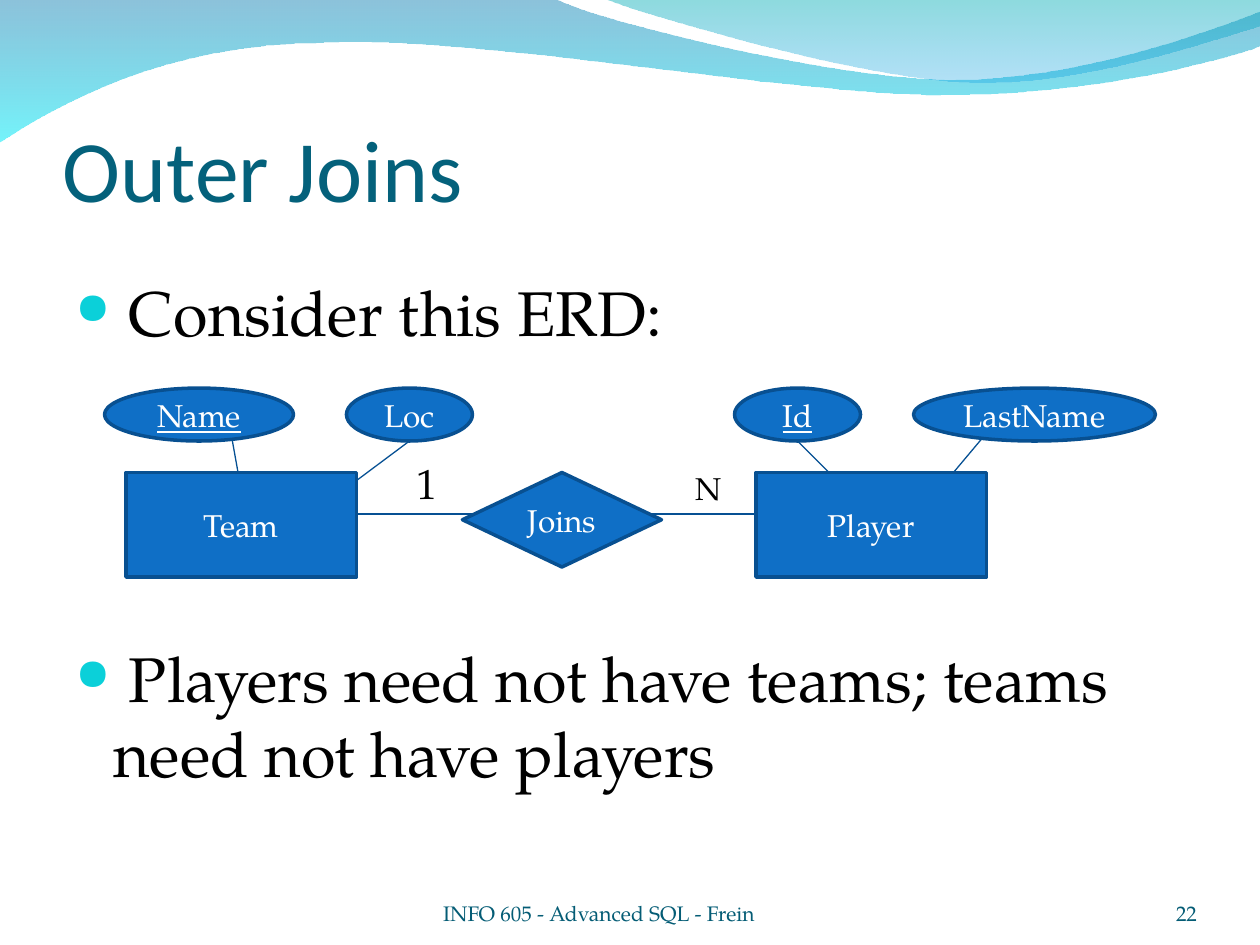
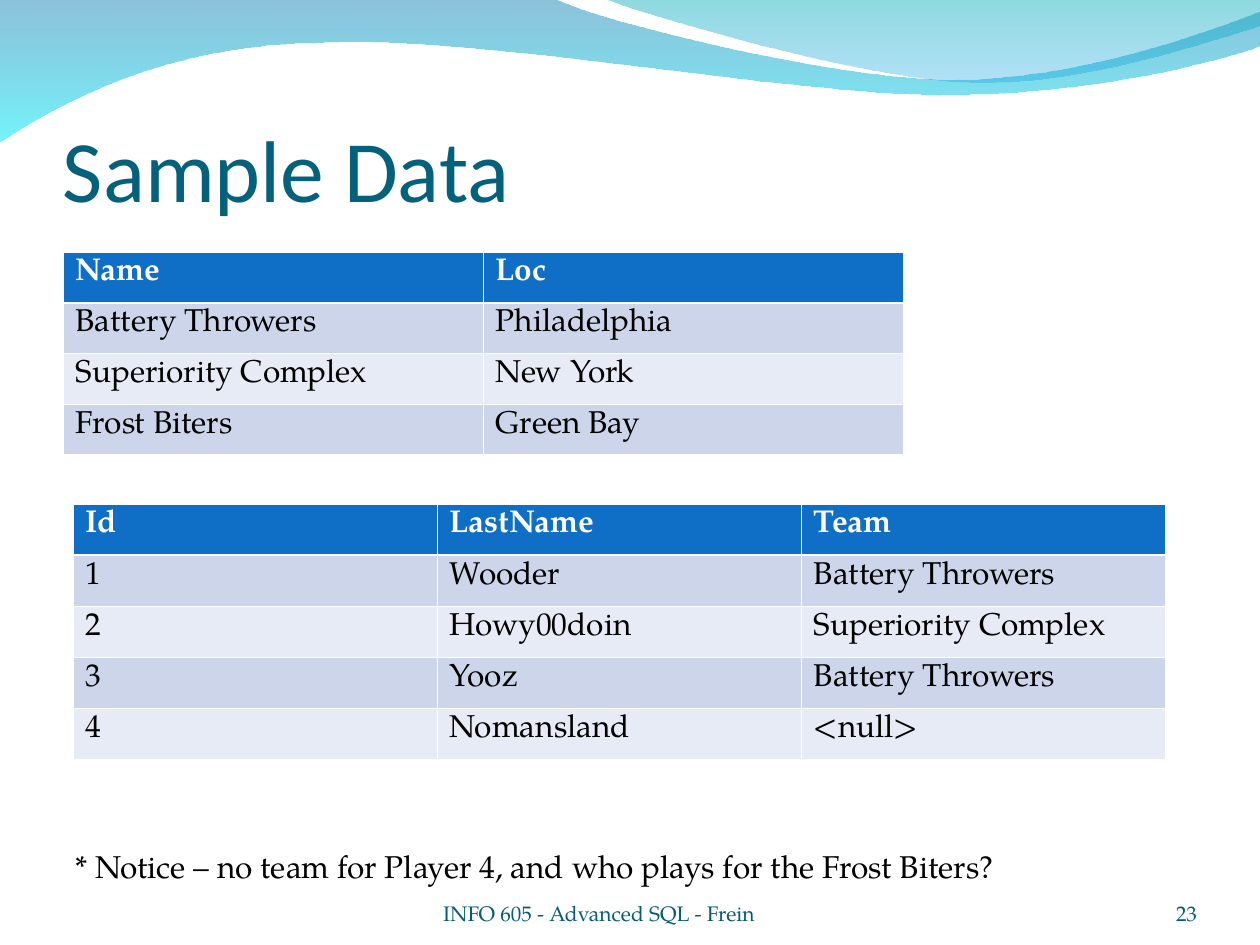
from pptx import Presentation
from pptx.dml.color import RGBColor as RGB
from pptx.enum.shapes import MSO_CONNECTOR as LINK, MSO_SHAPE as KIND
from pptx.enum.text import MSO_ANCHOR as ANCHOR, PP_ALIGN as ALIGN
from pptx.oxml.ns import qn
from pptx.oxml.xmlchemy import OxmlElement as Node
from pptx.util import Inches, Pt

BLACK = RGB(0x00, 0x00, 0x00)
WHITE = RGB(0xFF, 0xFF, 0xFF)
TITLE = RGB(0x04, 0x61, 0x7B)
FOOT = RGB(0x04, 0x5C, 0x75)
BLUE = RGB(0x0F, 0x6F, 0xC6)
EDGE = RGB(0x08, 0x50, 0x91)
LINE = RGB(0x06, 0x50, 0x93)
DOT = RGB(0x0B, 0xD0, 0xD9)
BANDS = [RGB(0xE7, 0xEB, 0xF5), RGB(0xCC, 0xD5, 0xEA)]
SERIF = "TeX Gyre Pagella"
SANS = "Calibri"

# Each wave: start, then corners (1 point) or Bezier curves (3 points),
# then gradient stops as (colour, opacity in percent).
WAVES = [
    ((0, -0.01),
     [[(4.4, -0.01)],
      [(4.76, 0.17), (6.64, 0.63), (7.58, 0.63)],
      [(8.53, 0.63), (9.58, 0.26), (10, 0.09)],
      [(10.01, 0.36)],
      [(9.83, 0.44), (8.7, 0.76), (7.46, 0.75)],
      [(6.22, 0.75), (3.82, 0.28), (2.57, 0.34)],
      [(1.29, 0.35), (0.46, 0.83), (-0.01, 1.13)]],
     [(RGB(0x00, 0x79, 0xAF), 45), (RGB(0x00, 0xEB, 0xF8), 55)]),
    ((4.79, -0.01),
     [[(5.09, 0.11), (6.82, 0.62), (7.69, 0.65)],
      [(8.56, 0.69), (9.61, 0.32), (10, 0.21)],
      [(10, 0)]],
     [(RGB(0x00, 0xAD, 0xB6), 45), (RGB(0x00, 0x9B, 0xE5), 30)]),
]


def write(frame, text, size=18, color=BLACK, font=SERIF, align=ALIGN.LEFT,
          anchor=ANCHOR.TOP, bold=False, under=False, wrap=True, pad=None):
    """Fill a text frame with one paragraph; pad is (left, top, right, bottom)."""
    frame.word_wrap = wrap
    frame.vertical_anchor = anchor
    if pad:
        (frame.margin_left, frame.margin_top,
         frame.margin_right, frame.margin_bottom) = map(Inches, pad)
    par = frame.paragraphs[0]
    par.alignment = align
    run = par.add_run()
    run.text = text
    run.font.size, run.font.name = Pt(size), font
    run.font.color.rgb = color
    run.font.bold, run.font.underline = bold, under


def box(slide, *at):
    return slide.shapes.add_textbox(*map(Inches, at)).text_frame


deck = Presentation()
deck.slide_width, deck.slide_height = Inches(10), Inches(7.5)

# Shared look: waves, title, footer, number
pages = []
for number, title in [(22, "Outer Joins"), (23, "Sample Data")]:
    page = deck.slides.add_slide(deck.slide_layouts[6])
    pages.append(page)
    for start, parts, stops in WAVES:
        pen = page.shapes.build_freeform(*map(Inches, start))
        pen.add_line_segments([(Inches(x), Inches(y)) for part in parts for x, y in part],
                              close=True)
        wave = pen.convert_to_shape()
        # Join the three points of each curve into one Bezier segment
        lines = iter(list(wave._element.iter(qn("a:lnTo"))))
        for part in parts:
            group = [next(lines) for _ in part]
            if len(group) == 3:
                curve = Node("a:cubicBezTo")
                group[0].addprevious(curve)
                for line in group:
                    curve.append(line[0])
                    line.getparent().remove(line)
        wave.shadow.inherit = False
        wave.line.fill.background()
        wave.fill.gradient()
        wave.fill.gradient_angle = 270
        for stop, (color, _) in zip(wave.fill.gradient_stops, stops):
            stop.color.rgb = color
        for tint, (_, share) in zip(wave._element.spPr.iter(qn("a:srgbClr")), stops):
            alpha = Node("a:alpha")
            alpha.set("val", str(share * 1000))
            tint.append(alpha)
    write(box(page, 0.5, 0.5, 9, 1.25), title, size=50, color=TITLE, font=SANS,
          anchor=ANCHOR.BOTTOM, pad=(0, 0.05, 0, 0))
    for left, width, text, align in [
            (2.92, 3.67, "INFO 605 - Advanced SQL - Frein", ALIGN.CENTER),
            (8.67, 0.83, str(number), ALIGN.RIGHT)]:
        write(box(page, left, 6.95, width, 0.4), text, size=12, color=FOOT,
              align=align, anchor=ANCHOR.BOTTOM, pad=(0, 0, 0, 0))
joins, data = pages

# Links lie behind the shapes
for ends in [(6.33, 3.5, 6.58, 3.75), (7.92, 3.33, 7.5, 3.83),
             (2.58, 4.08, 3.92, 4.08), (5, 4.08, 6.33, 4.08),
             (1.83, 3.42, 1.92, 3.92), (3.25, 3.5, 2.58, 4)]:
    link = joins.shapes.add_connector(LINK.STRAIGHT, *map(Inches, ends))
    link.line.color.rgb = LINE
    link.line.width = Pt(0.75)
    link._element.spPr.append(Node("a:effectLst"))

# Outer Joins: bullets above and below the diagram
frame = box(joins, 0.5, 2.12, 9.25, 4.8)
write(frame, " Consider this ERD:", size=36)
last = frame.add_paragraph()
last.space_before = Pt(166)
run = last.add_run()
run.text = " Players need not have teams; teams need not have players"
run.font.size, run.font.name = Pt(36), SERIF
run.font.color.rgb = BLACK
for par in frame.paragraphs:
    props = par._p.get_or_add_pPr()
    props.set("marL", str(Inches(0.3)))
    props.set("indent", str(-Inches(0.3)))
    hue, size, mark = Node("a:buClr"), Node("a:buSzPct"), Node("a:buChar")
    tint = Node("a:srgbClr")
    tint.set("val", str(DOT))
    hue.append(tint)
    size.set("val", "70000")
    mark.set("char", "●")
    props.extend([hue, size, mark])

for kind, text, at, key in [
        (KIND.RECTANGLE, "Team", (1, 3.75, 1.83, 0.83), False),
        (KIND.RECTANGLE, "Player", (6, 3.75, 1.83, 0.83), False),
        (KIND.DIAMOND, "Joins", (3.67, 3.75, 1.58, 0.75), False),
        (KIND.OVAL, "Name", (0.83, 3.08, 1.5, 0.42), True),
        (KIND.OVAL, "Id", (5.83, 3.08, 1, 0.42), True),
        (KIND.OVAL, "Loc", (2.75, 3.08, 1, 0.42), False),
        (KIND.OVAL, "LastName", (7.25, 3.08, 1.92, 0.42), False)]:
    shape = joins.shapes.add_shape(kind, *map(Inches, at))
    shape.shadow.inherit = False
    shape.fill.solid()
    shape.fill.fore_color.rgb = BLUE
    shape.line.color.rgb = EDGE
    shape.line.width = Pt(2)
    write(shape.text_frame, text, color=WHITE, align=ALIGN.CENTER,
          anchor=ANCHOR.MIDDLE, under=key)

write(box(joins, 3.21, 3.58, 0.38, 0.5), "1", size=24, wrap=False)
write(box(joins, 5.42, 3.67, 0.39, 0.4), "N", wrap=False)

# Sample Data: team and player tables
teams = [("Name", "Loc"),
         ("Battery Throwers", "Philadelphia"),
         ("Superiority Complex", "New York"),
         ("Frost Biters", "Green Bay")]
players = [("Id", "LastName", "Team"),
           ("1", "Wooder", "Battery Throwers"),
           ("2", "Howy00doin", "Superiority Complex"),
           ("3", "Yooz", "Battery Throwers"),
           ("4", "Nomansland", "<null>")]
for rows, at in [(teams, (0.5, 2, 6.67, 1.61)), (players, (0.58, 4, 8.67, 2.03))]:
    grid = data.shapes.add_table(len(rows), len(rows[0]), *map(Inches, at)).table
    for r, row in enumerate(rows):
        head = r == 0
        for c, text in enumerate(row):
            cell = grid.cell(r, c)
            props = cell._tc.get_or_add_tcPr()
            for side in "LRTB":
                thick = (r, side) in [(0, "B"), (1, "T")]
                edge = Node("a:ln" + side)
                edge.set("w", str(Pt(1.47 if thick else 0.45)))
                fill = Node("a:solidFill")
                tint = Node("a:srgbClr")
                tint.set("val", str(WHITE))
                fill.append(tint)
                edge.append(fill)
                props.append(edge)
            cell.fill.solid()
            cell.fill.fore_color.rgb = BLUE if head else BANDS[r % 2]
            write(cell.text_frame, text, color=WHITE if head else BLACK, bold=head)

write(box(data, 0.5, 6.67, 8.1, 0.4), wrap=False,
      text="* Notice – no team for Player 4, and who plays for the Frost Biters?")

deck.save("out.pptx")
